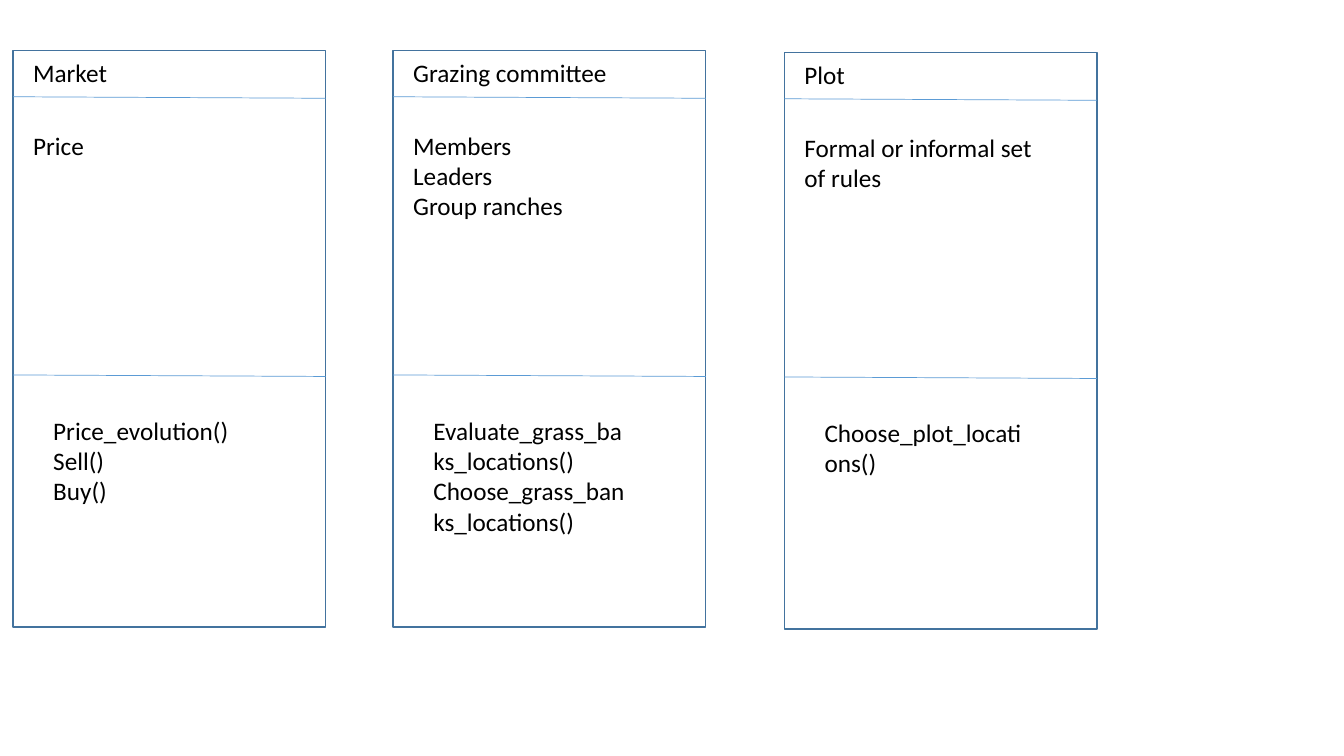
from pptx import Presentation
from pptx.dml.color import RGBColor
from pptx.enum.shapes import MSO_CONNECTOR, MSO_SHAPE
from pptx.enum.text import MSO_AUTO_SIZE
from pptx.oxml.ns import qn
from pptx.util import Inches, Pt
from lxml import etree

COLOURS = {"border": "43739E", "divider": "5B9BD5", "text": "000000"}
CARD_WIDTH, CARD_HEIGHT = 3.1, 5.72

# left, top, title width, name, attributes, attribute height, methods, method height
CLASSES = [
    (0.13, 0.5, 1.79, "Market", ["Price"], 0.71,
     ["Price_evolution()", "Sell()", "Buy()"], 1.01),
    (3.9, 0.5, 2.9, "Grazing committee", ["Members", "Leaders", "Group ranches"], 1.31,
     ["Evaluate_grass_baks_locations()", "Choose_grass_banks_locations()"], 1.31),
    (7.78, 0.52, 2.9, "Plot", ["Formal or informal set of rules"], 1.01,
     ["Choose_plot_locations()"], 0.71),
]


def colour(name):
    return RGBColor.from_string(COLOURS[name])


def add_text(page, left, top, width, height, lines):
    box = page.shapes.add_textbox(Inches(left), Inches(top), Inches(width), Inches(height))
    frame = box.text_frame
    frame.word_wrap = True
    frame.auto_size = MSO_AUTO_SIZE.SHAPE_TO_FIT_TEXT
    frame.text = "\n".join(lines)
    for para in frame.paragraphs:
        for span in para.runs:
            span.font.name = "Calibri"
            span.font.size = Pt(18)
            span.font.color.rgb = colour("text")


def add_frame(page, left, top):
    box = page.shapes.add_shape(MSO_SHAPE.RECTANGLE, Inches(left), Inches(top),
                                Inches(CARD_WIDTH), Inches(CARD_HEIGHT))
    box.shadow.inherit = False
    box.fill.background()
    box.line.color.rgb = colour("border")
    box.line.width = Pt(1)


def add_divider(page, left, top):
    # Dividers fall slightly towards the right
    line = page.shapes.add_connector(MSO_CONNECTOR.STRAIGHT, Inches(left), Inches(top),
                                     Inches(left + CARD_WIDTH), Inches(top + 0.015))
    line.line.color.rgb = colour("divider")
    line.line.width = Pt(0.5)
    etree.SubElement(line._element.spPr, qn("a:effectLst"))


def add_class_card(page, left, top, title_width, name,
                   attributes, attribute_height, methods, method_height):
    add_text(page, left + 0.1, top + 0.02, title_width, 0.4, [name])
    add_frame(page, left, top)
    for offset in (0.46, 3.22):
        add_divider(page, left, top + offset)
    add_text(page, left + 0.1, top + 0.74, 2.7, attribute_height, attributes)
    add_text(page, left + 0.3, top + 3.57, 2.17, method_height, methods)


def main():
    deck = Presentation()
    deck.slide_width, deck.slide_height = Inches(13.33), Inches(7.5)
    page = deck.slides.add_slide(deck.slide_layouts[6])
    for card in CLASSES:
        add_class_card(page, *card)
    deck.save("out.pptx")


if __name__ == "__main__":
    main()
